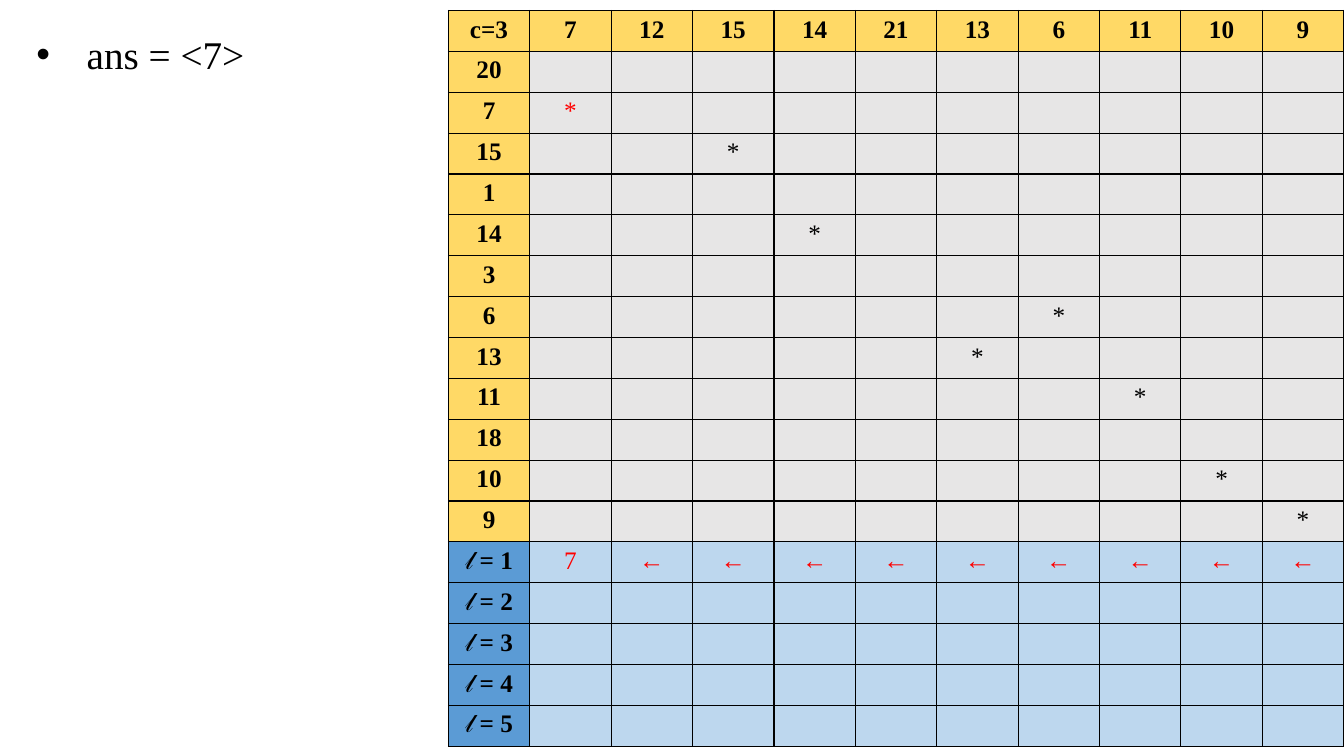
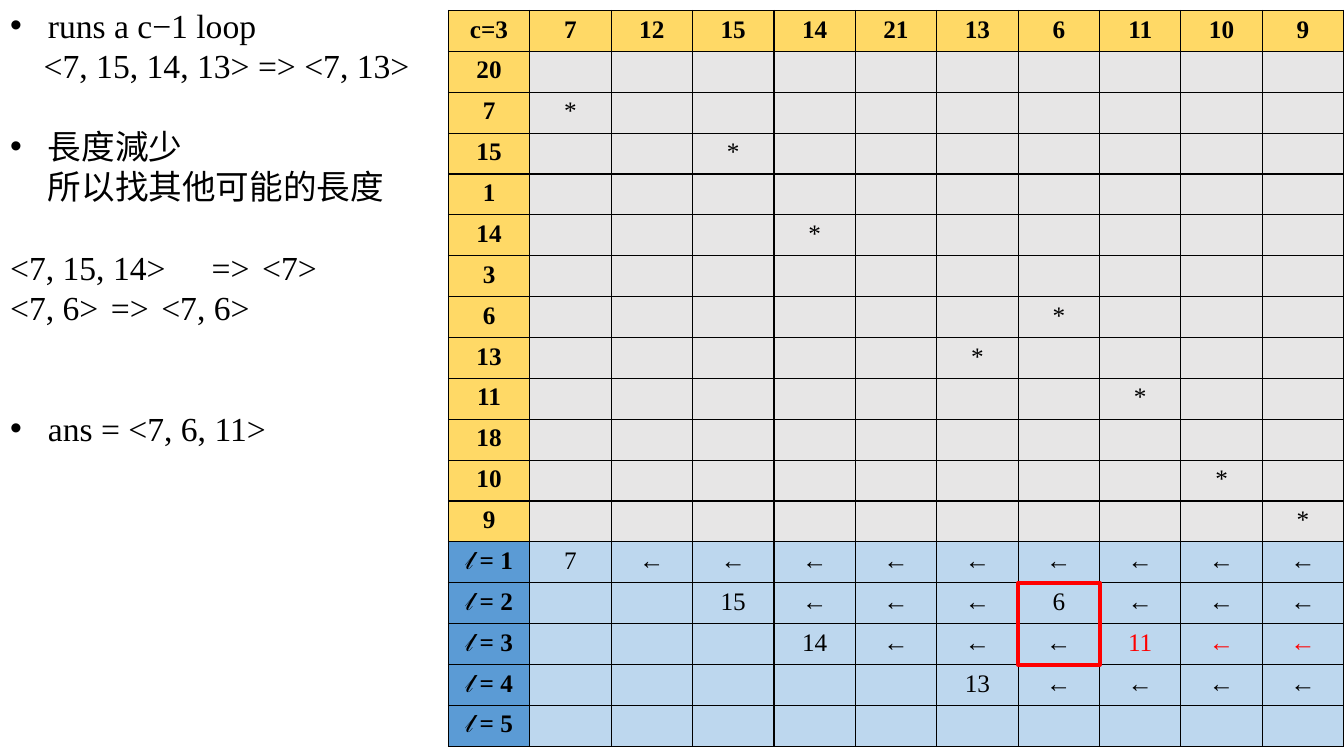
from lxml import etree
from pptx import Presentation
from pptx.dml.color import RGBColor
from pptx.enum.shapes import MSO_SHAPE as Shape
from pptx.enum.text import MSO_AUTO_SIZE as AutoSize, PP_ALIGN as Align
from pptx.oxml.ns import qn
from pptx.util import Emu, Pt

# Shared look
BLACK = RGBColor(0x00, 0x00, 0x00)
RED = RGBColor(0xFF, 0x00, 0x00)
GOLD = RGBColor(0xFF, 0xD9, 0x66)
GREY = RGBColor(0xE7, 0xE6, 0xE6)
BLUE = RGBColor(0x5B, 0x9B, 0xD5)
PALE_BLUE = RGBColor(0xBD, 0xD7, 0xEE)
FONT = "Times New Roman"
CELL_SIZE = 18
LINE_FACTOR = 1.2

# Sequences compared in the grid
ACROSS = [7, 12, 15, 14, 21, 13, 6, 11, 10, 9]
DOWN = [20, 7, 15, 1, 14, 3, 6, 13, 11, 18, 10, 9]
LEVELS = 5
COLUMNS = 1 + len(ACROSS)
ROWS = 1 + len(DOWN) + LEVELS
GRID_BOX = (427, 10, 853, 701)


def px(length):
    return Emu(round(length * 9525))


def style_run(run, size, color=BLACK, bold=False):
    run.font.name = FONT
    run.font.size = Pt(size)
    run.font.bold = bold
    run.font.color.rgb = color


def add_border(cell):
    properties = cell._tc.get_or_add_tcPr()
    for side in ("lnL", "lnR", "lnT", "lnB"):
        line = etree.SubElement(properties, qn(f"a:{side}"), w=str(Pt(1)))
        fill = etree.SubElement(line, qn("a:solidFill"))
        etree.SubElement(fill, qn("a:srgbClr"), val=str(BLACK))


def cell_content(row, col, levels):
    """Return the text and fill of one grid cell; levels maps level to {column: value}."""
    first_level = 1 + len(DOWN)
    level = row - first_level + 1
    if row == 0:
        return str(ACROSS[col - 1]) if col else "c=3", GOLD
    if row < first_level:
        value = DOWN[row - 1]
        if col == 0:
            return str(value), GOLD
        return "*" if value == ACROSS[col - 1] else "", GREY
    if col == 0:
        return f"𝓁 = {level}", BLUE
    entries = levels.get(level, {})
    if not entries or col < min(entries):
        return "", PALE_BLUE
    return str(entries.get(col, "←")), PALE_BLUE


def add_grid(slide, box, levels, red_cells):
    left, top, width, height = box
    grid = slide.shapes.add_table(ROWS, COLUMNS, *map(px, box)).table
    grid.first_row = grid.horz_banding = False
    for column in grid.columns:
        column.width = px(width / COLUMNS)
    for row, grid_row in enumerate(grid.rows):
        grid_row.height = px(height / ROWS)
        for col, cell in enumerate(grid_row.cells):
            content, fill = cell_content(row, col, levels)
            add_border(cell)
            cell.fill.solid()
            cell.fill.fore_color.rgb = fill
            paragraph = cell.text_frame.paragraphs[0]
            paragraph.text = content
            paragraph.alignment = Align.CENTER
            color = RED if (row, col) in red_cells else BLACK
            for run in paragraph.runs:
                style_run(run, CELL_SIZE, color, bold=row == 0 or col == 0)


def add_highlight(slide, box, row, col, row_count):
    """Frame row_count cells of the grid, starting at row and col."""
    left, top, width, height = box
    step_x, step_y = width / COLUMNS, height / ROWS
    frame = slide.shapes.add_shape(
        Shape.RECTANGLE, px(left + col * step_x), px(top + row * step_y),
        px(step_x), px(row_count * step_y))
    frame.shadow.inherit = False
    frame.fill.background()
    frame.line.color.rgb = RED
    frame.line.width = Pt(3)


def set_indent(paragraph, margin, hanging, tabs):
    properties = paragraph._p.get_or_add_pPr()
    properties.set("marL", str(px(margin)))
    properties.set("indent", str(px(-hanging)))
    if hanging:
        etree.SubElement(properties, qn("a:buFont"), typeface="Arial")
        etree.SubElement(properties, qn("a:buChar"), char="•")
    else:
        etree.SubElement(properties, qn("a:buNone"))
    if tabs:
        tab_list = etree.SubElement(properties, qn("a:tabLst"))
        for position in tabs:
            etree.SubElement(tab_list, qn("a:tab"), pos=str(px(position)), algn="l")


def add_notes_list(slide, box, size, items):
    """Fill the body; an item is (text, margin, hanging, tabs, lines skipped before)."""
    body = slide.placeholders[1]
    body.left, body.top, body.width, body.height = map(px, box)
    frame = body.text_frame
    frame.word_wrap = True
    frame.auto_size = AutoSize.NONE
    frame.text = "\n".join(item[0] for item in items)
    pitch = size * LINE_FACTOR
    for paragraph, (_, margin, hanging, tabs, skipped) in zip(frame.paragraphs, items):
        set_indent(paragraph, margin, hanging, tabs)
        paragraph.line_spacing = Pt(pitch)
        paragraph.space_before = Pt(skipped * pitch)
        for run in paragraph.runs:
            style_run(run, size)


def add_step(deck, notes_box, size, items, levels, red_cells):
    """Add one step of the algorithm: notes on the left, grid on the right."""
    slide = deck.slides.add_slide(deck.slide_layouts[1])
    title = slide.shapes.title._element
    title.getparent().remove(title)
    add_grid(slide, GRID_BOX, levels, red_cells)
    add_notes_list(slide, notes_box, size, items)
    return slide


def main():
    deck = Presentation()
    deck.slide_width, deck.slide_height = px(1280), px(720)

    # First step: one element found
    first_red = {(2, 1)} | {(13, col) for col in range(1, COLUMNS)}
    add_step(deck, (25, 24, 402, 145), 28,
             [("ans = <7>", 48, 48, (), 0)], {1: {1: 7}}, first_red)

    # Later step: shorter candidates compared
    tabs = (156, 216)
    items = [
        ("runs a c−1 loop", 36, 36, (), 0),
        ("<7, 15, 14, 13> => <7, 13>", 32, 0, (), 0),
        ("長度減少", 36, 36, (), 1),
        ("所以找其他可能的長度", 36, 0, (), 0),
        ("<7, 15, 14>\t=>\t<7>", 0, 0, tabs, 1),
        ("<7, 6>\t=>\t<7, 6>", 0, 0, tabs, 0),
        ("ans = <7, 6, 11>", 36, 36, (), 2),
    ]
    levels = {1: {1: 7}, 2: {3: 15, 7: 6}, 3: {4: 14, 8: 11}, 4: {6: 13}}
    later = add_step(deck, (0, 0, 427, 475), 24, items, levels,
                     {(15, col) for col in range(8, COLUMNS)})
    add_highlight(later, GRID_BOX, row=14, col=7, row_count=2)

    deck.save("out.pptx")


if __name__ == "__main__":
    main()
